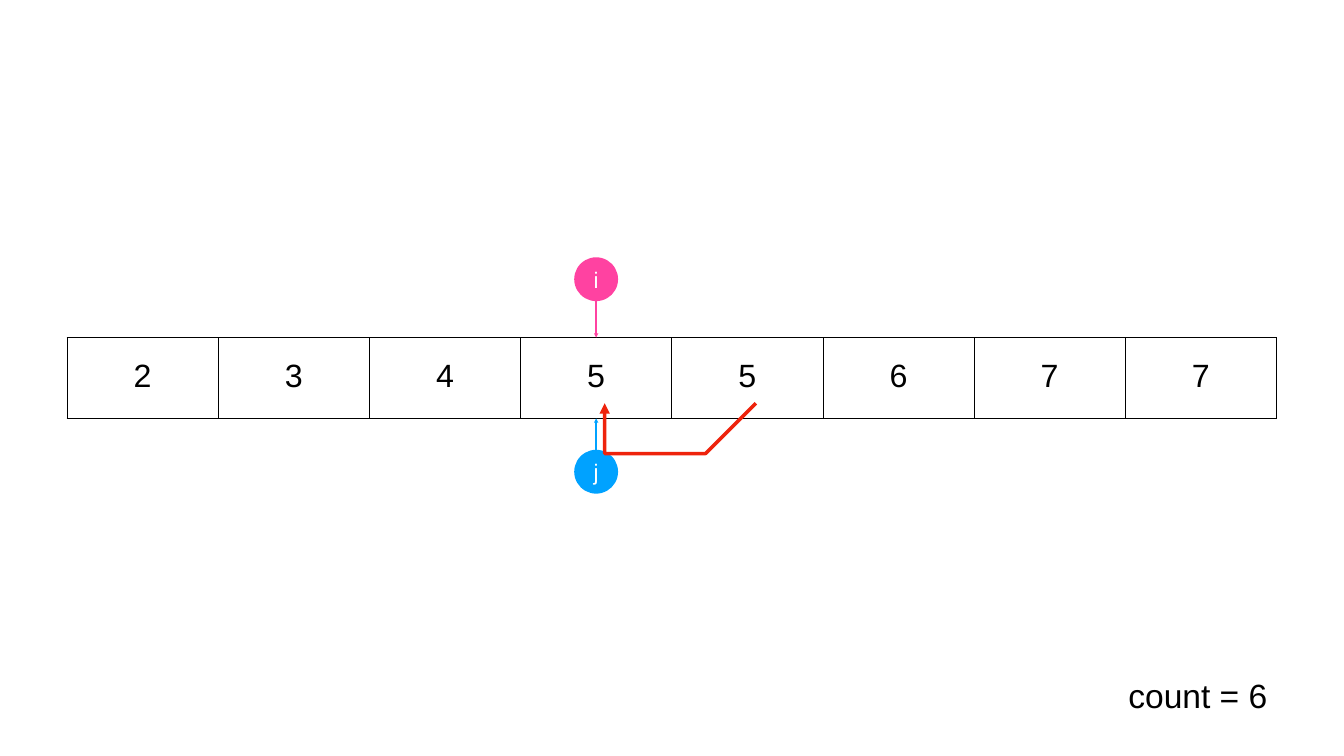
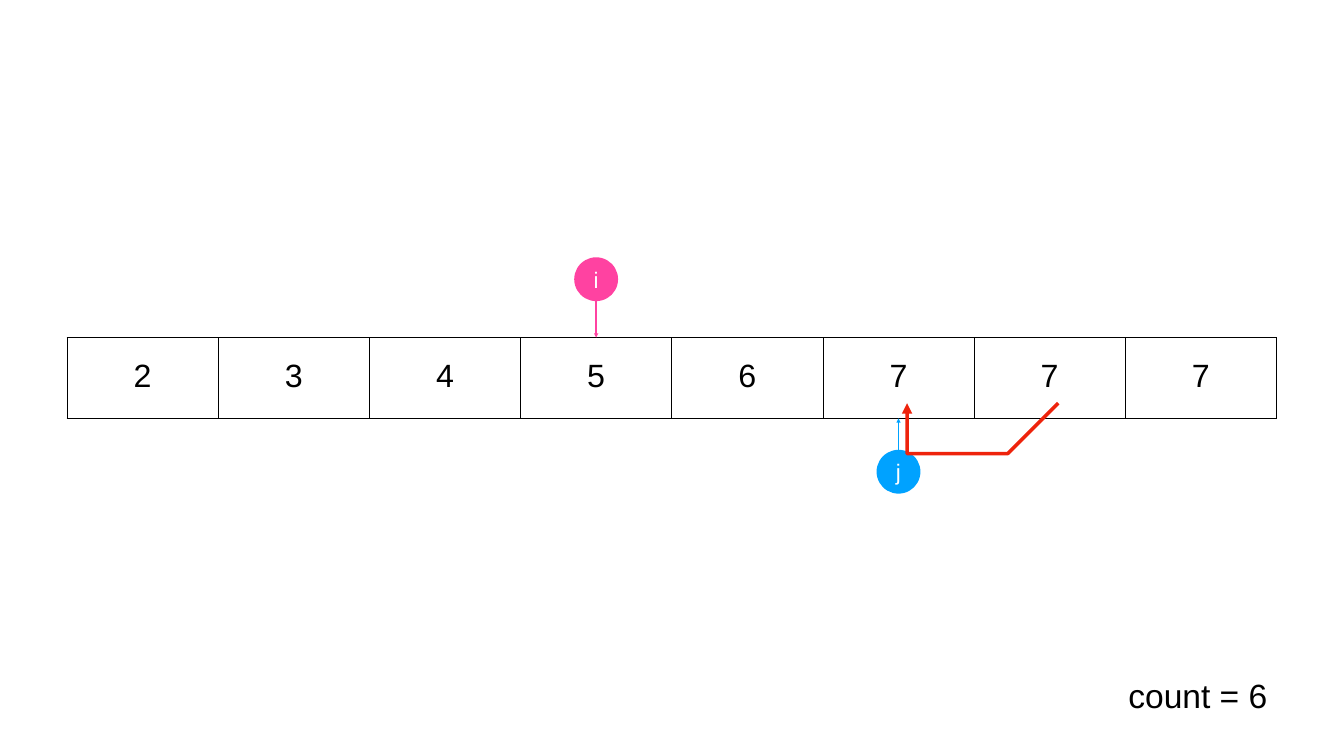
from lxml import etree
from pptx import Presentation, util as u
from pptx.dml.color import RGBColor
from pptx.enum import shapes, text
from pptx.oxml import ns

FRAMES = [
    {"row": [2, 3, 4, 5, 5, 6, 7, 7], "i": 3, "j": 3, "count": 6},
    {"row": [2, 3, 4, 5, 6, 7, 7, 7], "i": 3, "j": 5, "count": 6},
]

BLACK = RGBColor(0x00, 0x00, 0x00)
WHITE = RGBColor(0xFF, 0xFF, 0xFF)
PINK = RGBColor(0xFF, 0x42, 0xA1)
BLUE = RGBColor(0x00, 0xA2, 0xFF)
RED = RGBColor(0xEE, 0x23, 0x0C)
FONT = "Arial"

WIDE, HIGH = 26.67, 15
LEFT, TOP = 1.33, 6.7
COL, ROW = 3, 1.6
BASE = TOP + ROW
BALL = 0.87
I_MID, J_MID = 5.54, 9.36
DIP = 0.65
STEPS = 32
PAD = u.Inches(0.06)


def mid(col):
    return LEFT + (col + 0.5) * COL


def add(parent, tag, **attrs):
    return etree.SubElement(parent, ns.qn(tag), **attrs)


def write(frame, words, size, color=BLACK, align=None, spaced=True):
    para = frame.paragraphs[0]
    para.alignment = align
    if spaced:
        para.line_spacing = 0.9
        para.space_before = u.Pt(45)
    run = para.add_run()
    run.text = words
    run.font.size = u.Pt(size)
    run.font.name = FONT
    run.font.color.rgb = color


def inset(box):
    box.margin_left = box.margin_right = PAD
    box.margin_top = box.margin_bottom = PAD
    box.vertical_anchor = text.MSO_ANCHOR.MIDDLE


def stroke(shape, color, width, end):
    """Style a line and put a triangle on its head or tail end."""
    shape.line.color.rgb = color
    shape.line.width = u.Pt(width)
    add(shape.line._get_or_add_ln(), f"a:{end}End", type="triangle")


def border(cell):
    props = cell._tc.get_or_add_tcPr()
    for side in "LRTB":
        line = add(props, f"a:ln{side}", w=str(u.Pt(1)))
        add(add(line, "a:solidFill"), "a:srgbClr", val=str(BLACK))


def array(slide, row):
    table = slide.shapes.add_table(
        1, len(row), u.Inches(LEFT), u.Inches(TOP),
        u.Inches(COL * len(row)), u.Inches(ROW)).table
    table.first_row = table.horz_banding = False
    for cell, value in zip(table.iter_cells(), row):
        border(cell)
        cell.fill.background()
        inset(cell)
        write(cell.text_frame, str(value), 46, align=text.PP_ALIGN.CENTER)


def pointer(slide, name, col, y, tip, color):
    """Draw a named ball with an arrow to the edge of a cell."""
    x = mid(col)
    ball = slide.shapes.add_shape(
        shapes.MSO_SHAPE.OVAL, u.Inches(x - BALL / 2),
        u.Inches(y - BALL / 2), u.Inches(BALL), u.Inches(BALL))
    ball.shadow.inherit = False
    ball.fill.solid()
    ball.fill.fore_color.rgb = color
    ball.line.fill.background()
    inset(ball.text_frame)
    write(ball.text_frame, name, 32, WHITE, text.PP_ALIGN.CENTER, spaced=False)

    edge = y + BALL / 2 if tip > y else y - BALL / 2
    arrow = slide.shapes.add_connector(
        shapes.MSO_CONNECTOR.STRAIGHT, u.Inches(x), u.Inches(edge),
        u.Inches(x), u.Inches(tip))
    stroke(arrow, color, 2, "tail")
    add(arrow._element.spPr, "a:effectLst")


def shift(slide, col):
    """Draw the curve that moves the next value back into a cell."""
    points = []
    for step in range(STEPS + 1):
        t = step / STEPS
        points.append((mid(col) + COL * t, BASE + 3 * DIP * t * (1 - t)))
    path = slide.shapes.build_freeform(*points[0], scale=u.Inches(1))
    path.add_line_segments(points[1:], close=False)
    curve = path.convert_to_shape()
    curve.shadow.inherit = False
    curve.fill.background()
    stroke(curve, RED, 5, "head")


def tally(slide, count):
    box = slide.shapes.add_textbox(
        u.Inches(22.33), u.Inches(13.35), u.Inches(3.13), u.Inches(0.97))
    frame = box.text_frame
    inset(frame)
    frame.word_wrap = False
    frame.auto_size = text.MSO_AUTO_SIZE.SHAPE_TO_FIT_TEXT
    write(frame, f"count = {count}", 48)


def main():
    deck = Presentation()
    deck.slide_width, deck.slide_height = u.Inches(WIDE), u.Inches(HIGH)
    for state in FRAMES:
        slide = deck.slides.add_slide(deck.slide_layouts[6])
        array(slide, state["row"])
        pointer(slide, "i", state["i"], I_MID, TOP, PINK)
        pointer(slide, "j", state["j"], J_MID, BASE, BLUE)
        tally(slide, state["count"])
        shift(slide, state["j"])
    deck.save("out.pptx")


if __name__ == "__main__":
    main()
